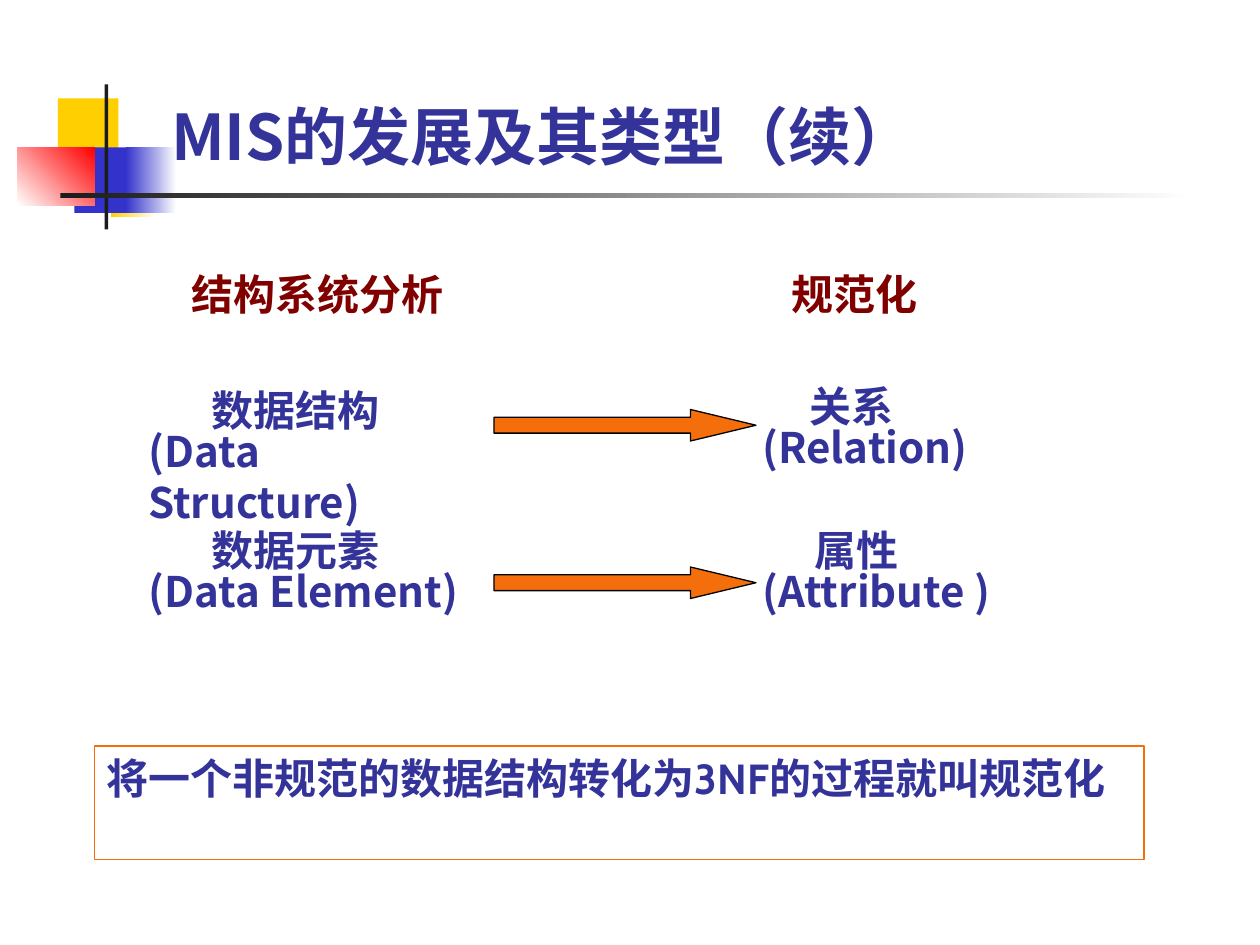
"""Build the slide that maps structured system analysis to normalization."""
from pptx import Presentation
from pptx import util as u
from pptx.dml.color import RGBColor
from pptx.enum import shapes, text
from pptx.oxml.ns import qn
from lxml import etree

COLORS = {"yellow": "FFCF01", "blue": "3333CC", "red": "FF0000", "white": "FFFFFF",
          "dark": "1C1C1C", "text": "333399", "heading": "800000",
          "orange": "F46F0C", "black": "000000"}
CJK, LATIN = "Noto Sans CJK SC", "Cabin"

TITLE = "MIS的发展及其类型（续）"
DECORATION = [
    ((0.46, 0.78, 0.48, 0.52), ["yellow"], 0),
    ((0.88, 1.2, 0.36, 0.52), ["yellow", "white"], 0),
    ((0.59, 1.17, 0.46, 0.52), ["blue"], 0),
    ((1, 1.17, 0.4, 0.52), ["blue", "white"], 0),
    ((0.14, 1.17, 0.61, 0.46), ["white", "red"], 45),
    ((0.83, 0.67, 0.03, 1.15), ["dark"], 0),
    ((0.48, 1.53, 9, 0.04), ["dark", "white"], 0),
]
HEADINGS = [("结构系统分析", 1.42, 2.42), ("规范化", 6.18, 1.42)]
TERMS = [
    ("数据结构", "(Data Structure)", 1.58, 1.08, 3.0, "LEFT"),
    ("关系", "(Relation)", 5.92, 5.45, 2.97, "CENTER"),
    ("数据元素", "(Data Element)", 1.58, 1.08, 4.11, "LEFT"),
    ("属性", "(Attribute )", 5.96, 5.54, 4.11, "CENTER"),
]
ARROW_TOPS = [3.25, 4.5]
CONCLUSION = [("将一个非规范的数据结构转化为", CJK), ("3NF", LATIN), ("的过程就叫规范化", CJK)]


def rgb(name):
    return RGBColor.from_string(COLORS[name])


def add_box(s, at, kind="RECTANGLE", fill=(), angle=0, line=None):
    sp = s.shapes.add_shape(shapes.MSO_SHAPE[kind], *map(u.Inches, at))
    sp.shadow.inherit = False
    if len(fill) == 2:
        sp.fill.gradient()
        sp.fill.gradient_angle = angle
        for stop, name in zip(sp.fill.gradient_stops, fill):
            stop.color.rgb = rgb(name)
    elif fill:
        sp.fill.solid()
        sp.fill.fore_color.rgb = rgb(fill[0])
    else:
        sp.fill.background()
    if line:
        sp.line.color.rgb = rgb(line)
        sp.line.width = u.Pt(0.75)
    else:
        sp.line.fill.background()
    return sp


def write(sp, runs, size=24, color="text", align="LEFT", anchor="TOP"):
    tf = sp.text_frame
    tf.word_wrap = True
    tf.vertical_anchor = text.MSO_ANCHOR[anchor]
    p = tf.paragraphs[0]
    p.alignment = text.PP_ALIGN[align]
    for words, font in [(runs, CJK)] if isinstance(runs, str) else runs:
        r = p.add_run()
        r.text = words
        r.font.name, r.font.size, r.font.bold = font, u.Pt(size), True
        r.font.color.rgb = rgb(color)
        etree.SubElement(r.font._element, qn("a:ea")).set("typeface", CJK)


def add_text(s, words, at, **style):
    write(s.shapes.add_textbox(*map(u.Inches, at)), words, **style)


def main():
    prs = Presentation()
    prs.slide_width, prs.slide_height = u.Inches(10), u.Inches(7.5)
    s = prs.slides.add_slide(prs.slide_layouts[6])
    for at, fill, angle in DECORATION:
        add_box(s, at, fill=fill, angle=angle)
    add_text(s, TITLE, (1.26, 0.17, 8.52, 1.25), size=36, anchor="BOTTOM")
    for words, left, width in HEADINGS:
        add_text(s, words, (left, 2.08, width, 0.5), color="heading")
    for chinese, english, left, english_left, top, align in TERMS:
        add_text(s, chinese, (left, top, 1.67, 0.5), align=align)
        add_text(s, english, (english_left, top + 0.33, 2.83, 0.5), align=align)
    for top in ARROW_TOPS:
        arrow = add_box(s, (3.92, top, 2.08, 0.25), "RIGHT_ARROW", ["orange"], line="black")
        arrow.adjustments[0], arrow.adjustments[1] = 0.5, 2.08
    write(add_box(s, (0.75, 5.92, 8.33, 0.9), line="orange"), CONCLUSION)
    prs.save("out.pptx")


if __name__ == "__main__":
    main()
